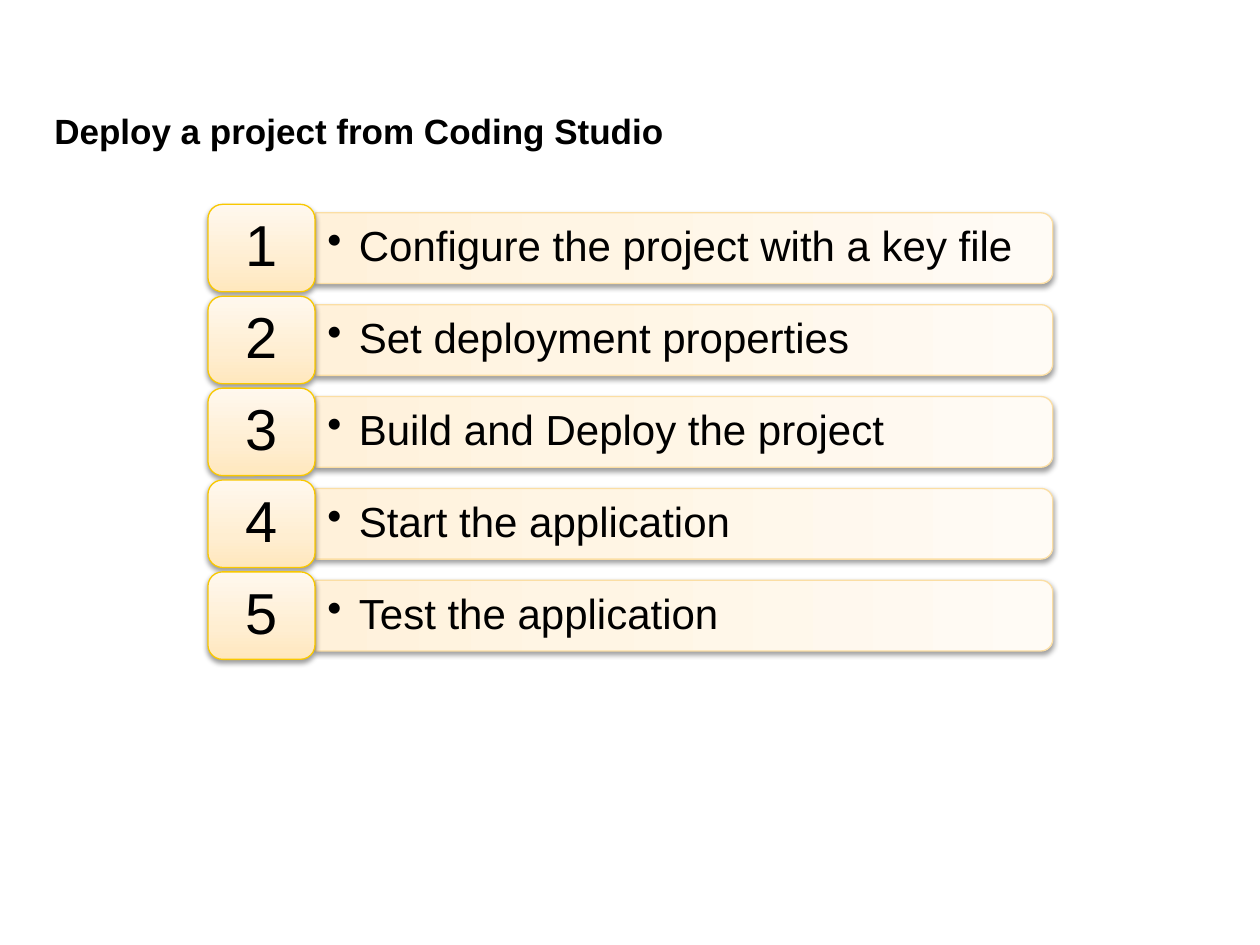
from lxml.etree import SubElement
from pptx import Presentation
from pptx.dml.color import RGBColor
from pptx.enum.shapes import MSO_SHAPE
from pptx.enum.text import MSO_ANCHOR, PP_ALIGN
from pptx.oxml.ns import qn
from pptx.util import Pt


def color(value):
    return RGBColor.from_string(value)


class StepSlide:
    """Style and element builders for a slide of numbered steps."""

    font = "Arial"
    ink = "000000"
    stops = (0, 35, 100)

    def __init__(self, presentation):
        self.slide = presentation.slides.add_slide(presentation.slide_layouts[6])

    def label(self, shape, text, size, bold=False, align=PP_ALIGN.LEFT, margins=(0, 0)):
        frame = shape.text_frame
        frame.word_wrap = True
        frame.vertical_anchor = MSO_ANCHOR.MIDDLE
        frame.margin_left = frame.margin_right = Pt(margins[0])
        frame.margin_top = frame.margin_bottom = Pt(margins[1])
        frame.text = text
        paragraph = frame.paragraphs[0]
        paragraph.alignment = align
        font = paragraph.runs[0].font
        font.name, font.size, font.bold = self.font, Pt(size), bold
        font.color.rgb = color(self.ink)
        return paragraph

    def text(self, text, left, top, width, height, size, **options):
        box = self.slide.shapes.add_textbox(Pt(left), Pt(top), Pt(width), Pt(height))
        return self.label(box, text, size, **options)

    def bullet(self, *content, **options):
        paragraph = self.text(*content, **options)
        paragraph.level = 1
        paragraph.line_spacing = 0.9
        properties = paragraph._p.get_or_add_pPr()
        properties.set("marL", str(Pt(18)))
        properties.set("indent", str(-Pt(18)))
        SubElement(properties, qn("a:buChar"), char="•")

    def panel(self, kind, left, top, width, height, shades, outline):
        shape = self.slide.shapes.add_shape(kind, Pt(left), Pt(top), Pt(width), Pt(height))
        shape.fill.gradient()
        shape.fill.gradient_angle = 90
        stop_list = shape._element.spPr.find(".//" + qn("a:gsLst"))
        for stop in list(stop_list):
            stop_list.remove(stop)
        for position, shade in zip(self.stops, shades):
            stop = SubElement(stop_list, qn("a:gs"), pos=str(position * 1000))
            SubElement(stop, qn("a:srgbClr"), val=shade)
        shape.line.color.rgb = color(outline)
        shape.line.width = Pt(0.75)
        self.shadow(shape)
        return shape

    def shadow(self, shape):
        shape.shadow.inherit = False
        effects = shape._element.spPr.find(qn("a:effectLst"))
        outer = SubElement(effects, qn("a:outerShdw"), blurRad=str(Pt(3.1)),
                           dist=str(Pt(1.6)), dir="5400000", rotWithShape="0")
        shade = SubElement(outer, qn("a:srgbClr"), val=self.ink)
        SubElement(shade, qn("a:alpha"), val="38000")

    def step(self, number, text, top):
        middle = top + 25
        length, thickness = 421.2, 40.4
        bar = self.panel(MSO_SHAPE.ROUND_2_SAME_RECTANGLE, 391 - thickness / 2,
                         middle - length / 2, thickness, length,
                         ("FFF1DA", "FFF5E4", "FFFBF5"), "FBDEA4")
        bar.rotation = 90
        self.bullet(text, 180, middle - 18.2, 419, 36.4, 24, margins=(7.2, 3.6))
        badge = self.panel(MSO_SHAPE.ROUNDED_RECTANGLE, 118.8, top, 61.2, 50,
                           ("FFE7BD", "FFEED1", "FFF8EE"), "F9C800")
        paragraph = self.label(badge, str(number), 33, align=PP_ALIGN.CENTER, margins=(10, 5))
        paragraph.line_spacing = 0.9


presentation = Presentation()
presentation.slide_width, presentation.slide_height = Pt(720), Pt(540)
deployment = StepSlide(presentation)
deployment.text("Deploy a project from Coding Studio", 31, 60.5, 658, 28, 20, bold=True)

steps = (
    "Configure the project with a key file",
    "Set deployment properties",
    "Build and Deploy the project",
    "Start the application",
    "Test the application",
)
for index, step in enumerate(steps):
    deployment.step(index + 1, step, 116.8 + index * 52.5)

presentation.save("out.pptx")
